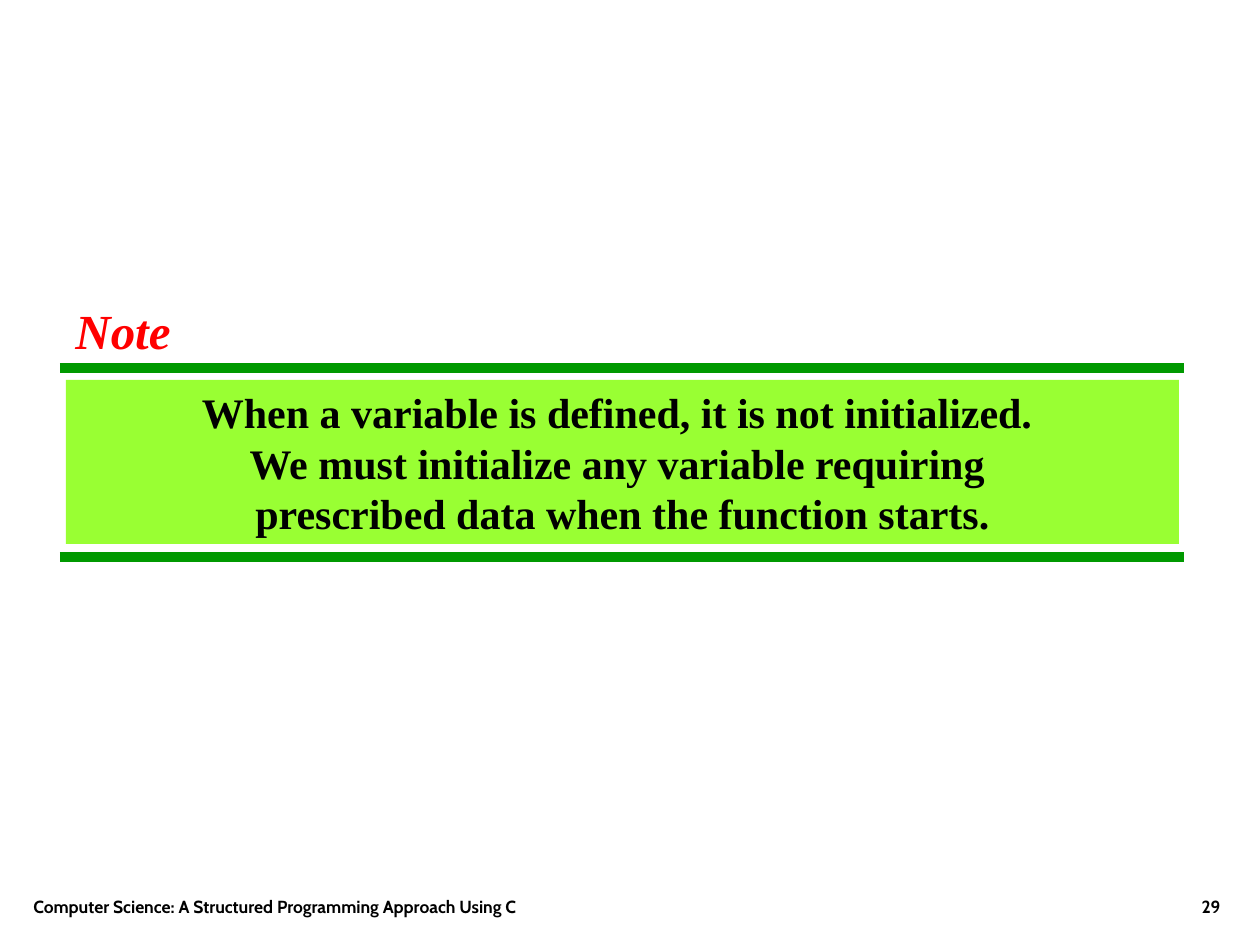
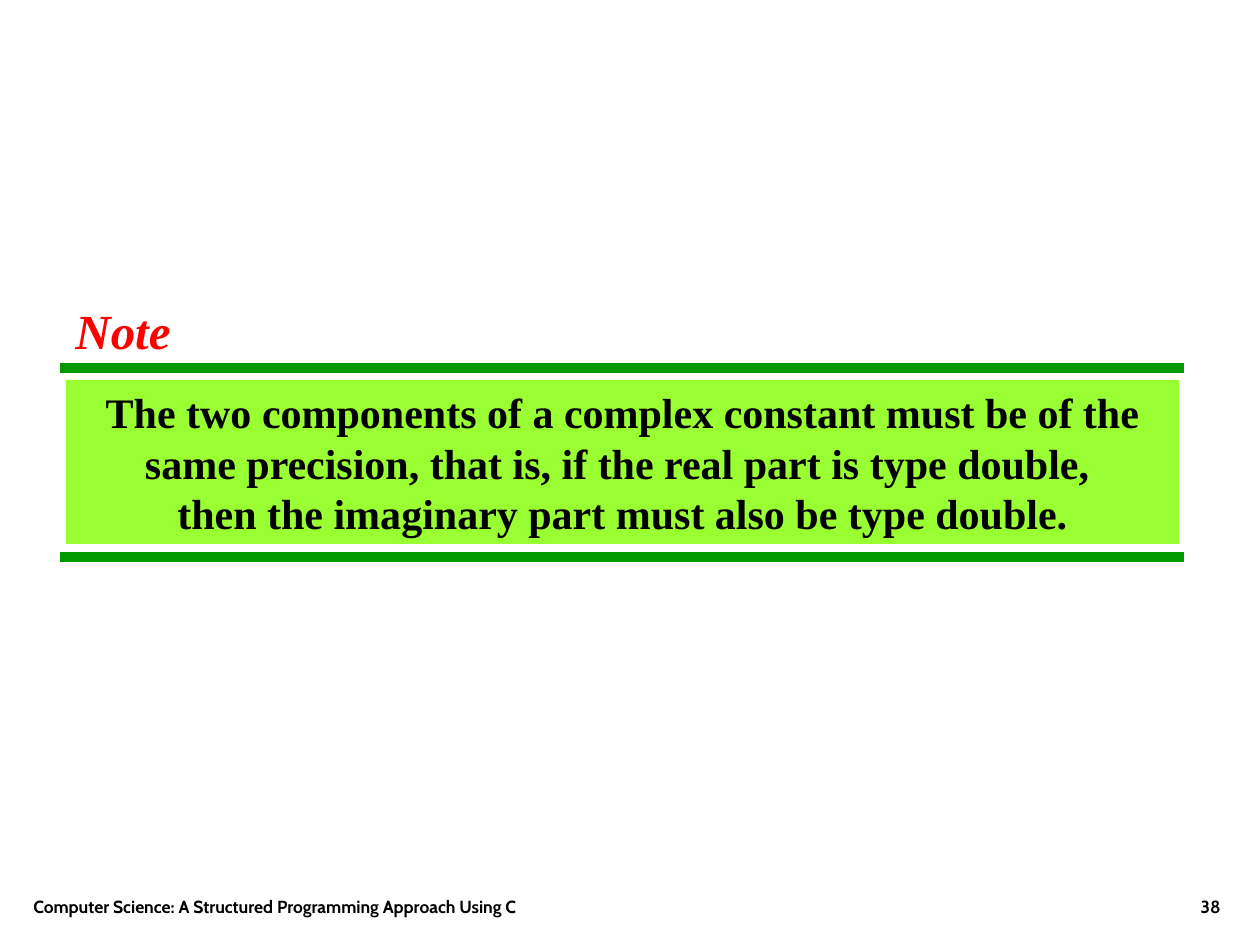
from lxml import etree
from pptx import Presentation
from pptx.dml.color import RGBColor
from pptx.enum.shapes import MSO_CONNECTOR, MSO_SHAPE
from pptx.enum.text import MSO_ANCHOR, MSO_AUTO_SIZE, PP_ALIGN
from pptx.oxml.ns import qn
from pptx.util import Emu, Pt

TITLE = "Note"
BOOK = "Computer Science: A Structured Programming Approach Using C"
NOTES = [
    ("29", ["When a variable is defined, it is not initialized. ",
            "We must initialize any variable requiring ",
            "prescribed data when the function starts."]),
    ("38", ["The two components of a complex constant must be of the "
            "same precision, that is, if the real part is type double, ",
            "then the imaginary part must also be type double."]),
]

BLACK = RGBColor(0x00, 0x00, 0x00)
RED = RGBColor(0xFF, 0x00, 0x00)
GREEN = RGBColor(0x00, 0x99, 0x00)
LIME = RGBColor(0x99, 0xFF, 0x33)
SERIF, SANS = "Times New Roman", "Cabin"
LEFT, CENTER, RIGHT = PP_ALIGN.LEFT, PP_ALIGN.CENTER, PP_ALIGN.RIGHT
TOP, BOTTOM = MSO_ANCHOR.TOP, MSO_ANCHOR.BOTTOM
STRAIGHT, RECT = MSO_CONNECTOR.STRAIGHT, MSO_SHAPE.RECTANGLE
NO_FIT = MSO_AUTO_SIZE.NONE

# Left, top, width, height in px
SIZE = 1260, 945
HEAD = 58, 294, 130, 72
PANEL = 66, 380, 1113, 164
FOOT = 21, 860, 714, 63
PAGE = 971, 860, 262, 63
RULE_X = 60, 1184
RULE_Y = 368, 557
TITLE_ONLY = 5


def px(*vals):
    return [Emu(round(v * 914400 / 126)) for v in vals]


def write(shape, lines, font, size, color=BLACK, align=LEFT, anchor=TOP,
          italic=False, wrap=True, pitch=None):
    """Fill a shape with one bold paragraph, broken between lines."""
    frame = shape.text_frame
    frame.auto_size = NO_FIT
    frame.word_wrap = wrap
    frame.vertical_anchor = anchor
    para = frame.paragraphs[0]
    para.alignment = align
    para.line_spacing = pitch
    for i, line in enumerate(lines):
        if i:
            para.add_line_break()
        run = para.add_run()
        run.text = line
        run.font.name = font
        run.font.size = Pt(size)
        run.font.bold = True
        run.font.italic = italic
        run.font.color.rgb = color


def add_rule(slide, y):
    x1, x2 = RULE_X
    rule = slide.shapes.add_connector(STRAIGHT, *px(x1, y, x2, y))
    rule.line.color.rgb = GREEN
    rule.line.width = Pt(6)
    etree.SubElement(rule._element.spPr, qn("a:effectLst"))


def add_panel(slide, lines):
    panel = slide.shapes.add_shape(RECT, *px(*PANEL))
    panel.shadow.inherit = False
    panel.fill.solid()
    panel.fill.fore_color.rgb = LIME
    panel.line.fill.background()
    write(panel, lines, SERIF, 24, align=CENTER, pitch=Pt(29))


def add_note(deck, page, lines):
    slide = deck.slides.add_slide(deck.slide_layouts[TITLE_ONLY])
    for y in RULE_Y:
        add_rule(slide, y)
    add_panel(slide, lines)
    head = slide.shapes.title
    head.left, head.top, head.width, head.height = px(*HEAD)
    write(head, [TITLE], SERIF, 28, RED, CENTER, italic=True, wrap=False)
    for place, text, align in ((FOOT, BOOK, LEFT), (PAGE, page, RIGHT)):
        box = slide.shapes.add_textbox(*px(*place))
        write(box, [text], SANS, 10, align=align, anchor=BOTTOM)


def main():
    deck = Presentation()
    deck.slide_width, deck.slide_height = px(*SIZE)
    for page, lines in NOTES:
        add_note(deck, page, lines)
    deck.save("out.pptx")


if __name__ == "__main__":
    main()
